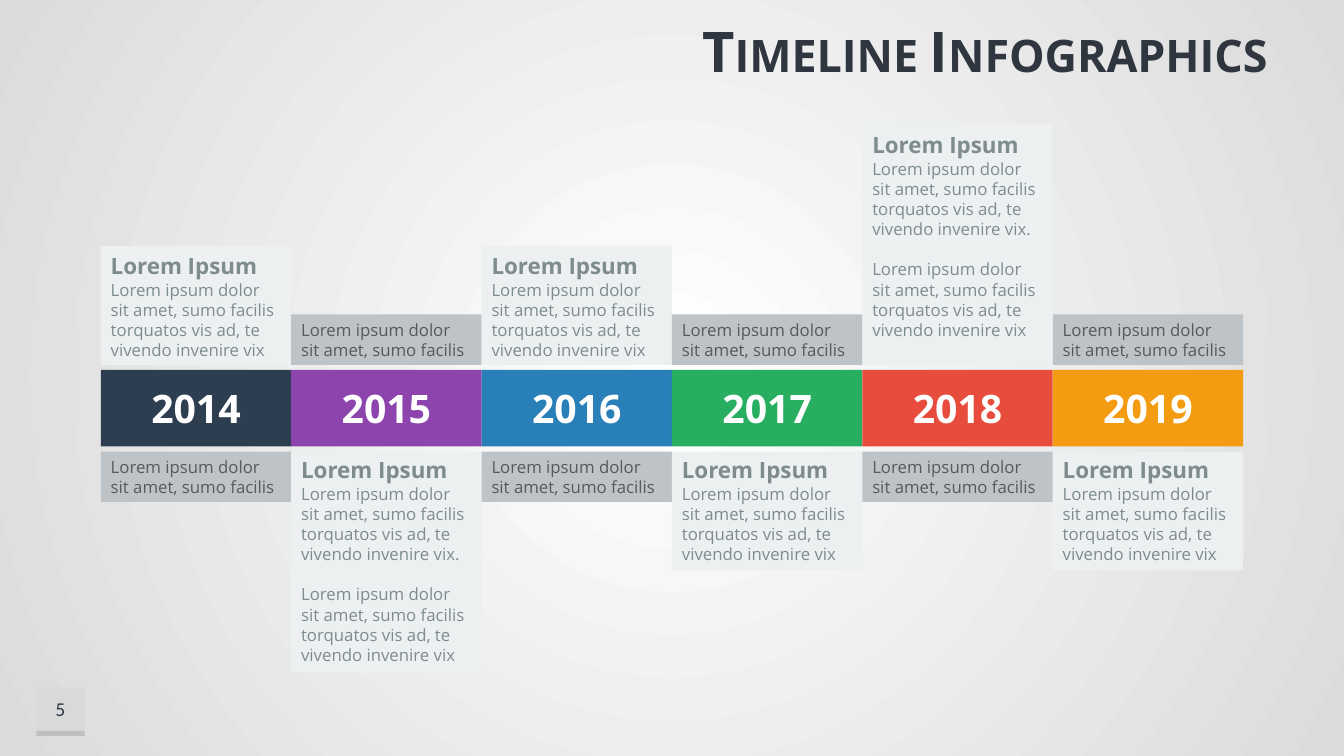
from pptx import Presentation
from pptx.dml.color import RGBColor
from pptx.enum.shapes import MSO_SHAPE
from pptx.enum.text import MSO_ANCHOR, PP_ALIGN
from pptx.oxml.ns import qn
from pptx.util import Inches, Pt
from lxml.etree import SubElement

TITLE = "Timeline Infographics"
NUMBER = "5"
HEAD = "Lorem Ipsum"
NOTE = "Lorem ipsum dolor sit amet, sumo facilis"
BODY = NOTE + " torquatos vis ad, te vivendo invenire vix"
SHORT = [BODY]
LONG = [BODY + ".", BODY]
YEARS = [
    ("2014", "2D3E50", "above", SHORT, 1.18, 0.05),
    ("2015", "8D44AD", "below", LONG, 2.19, 0.05),
    ("2016", "297FB8", "above", SHORT, 1.18, 0.05),
    ("2017", "27AE61", "below", SHORT, 1.18, 0.05),
    ("2018", "E84C3D", "above", LONG, 2.39, 0.25),
    ("2019", "F39C11", "below", SHORT, 1.18, 0.05),
]
WIDTH, HEIGHT = 13.33, 7.5
MARGIN = 1
COL = (WIDTH - 2 * MARGIN) / len(YEARS)
BAR_TOP, BAR_H, GAP, NOTE_H = 3.67, 0.76, 0.05, 0.5
LINE = 14.4

YEAR_FONT = {"size": Pt(28), "bold": True, "name": "Open Sans"}
TITLE_FONT = {"size": Pt(40), "bold": True, "name": "Open Sans"}
HEAD_FONT = {"size": Pt(16), "bold": True, "name": "Open Sans"}
TEXT_FONT = {"size": Pt(12), "bold": False, "name": "Open Sans"}
NUMBER_FONT = {"size": Pt(14), "bold": False, "name": "Calibri"}


def rgb(value):
    return RGBColor.from_string(value)


def box(s, at, fill=None):
    at = [Inches(v) for v in at]
    if fill is None:
        return s.shapes.add_textbox(*at)
    sp = s.shapes.add_shape(MSO_SHAPE.RECTANGLE, *at)
    sp.shadow.inherit = False
    sp.fill.solid()
    sp.fill.fore_color.rgb = rgb(fill)
    sp.line.fill.background()
    return sp


def write(sp, lines, align, anchor, bottom=0.05):
    tf = sp.text_frame
    frame = {"word_wrap": True, "vertical_anchor": anchor, "margin_bottom": Inches(bottom)}
    for key, value in frame.items():
        setattr(tf, key, value)
    for i, (text, font, color, before) in enumerate(lines):
        p = tf.add_paragraph() if i else tf.paragraphs[0]
        p.alignment = align
        p.space_before = Pt(before)
        r = p.add_run()
        r.text = text
        for key, value in font.items():
            setattr(r.font, key, value)
        r.font.color.rgb = rgb(color)
    return tf


def set_background(s):
    fill = s.background.fill
    fill.gradient()
    for stop, color, position in zip(fill.gradient_stops, ("FFFFFF", "DBDBDB"), (0, 1)):
        stop.color.rgb = rgb(color)
        stop.position = position
    grad = s.background._cSld.find(".//" + qn("a:gradFill"))
    grad.remove(grad.find(qn("a:lin")))
    circle = SubElement(grad, qn("a:path"), {"path": "circle"})
    SubElement(circle, qn("a:fillToRect"), {side: "50000" for side in "ltrb"})


def add_year(s, col, year, color, side, texts, card_h, bottom):
    left = MARGIN + col * COL
    bar = box(s, (left, BAR_TOP, COL, BAR_H), color)
    write(bar, [(year, YEAR_FONT, "FFFFFF", 0)], PP_ALIGN.CENTER, MSO_ANCHOR.MIDDLE)
    card = [(HEAD, HEAD_FONT, "7E8C8D", 0)]
    card += [(text, TEXT_FONT, "7E8C8D", LINE * (i > 0)) for i, text in enumerate(texts)]
    note = [(NOTE, TEXT_FONT, "595959", 0)]
    other = "below" if side == "above" else "above"
    for place, lines, h, fill, inset in (
        (side, card, card_h, "ECF0F1", bottom),
        (other, note, NOTE_H, "BEC3C7", 0.05),
    ):
        above = place == "above"
        top = BAR_TOP - GAP - h if above else BAR_TOP + BAR_H + GAP
        anchor = MSO_ANCHOR.BOTTOM if above else MSO_ANCHOR.TOP
        write(box(s, (left, top, COL, h), fill), lines, PP_ALIGN.LEFT, anchor, inset)


def main():
    prs = Presentation()
    prs.slide_width, prs.slide_height = Inches(WIDTH), Inches(HEIGHT)
    s = prs.slides.add_slide(prs.slide_layouts[6])
    set_background(s)
    box(s, (0.36, 6.82, 0.48, 0.48), "D9D9D9")
    box(s, (0.36, 7.25, 0.48, 0.05), "BFBFBF")
    number = box(s, (0.36, 6.82, 0.48, 0.43))
    write(number, [(NUMBER, NUMBER_FONT, "2F3A46", 0)], PP_ALIGN.CENTER, MSO_ANCHOR.MIDDLE)
    title = box(s, (1.95, 0.16, 10.72, 0.68))
    tf = write(title, [(TITLE, TITLE_FONT, "2F3640", 0)], PP_ALIGN.RIGHT, MSO_ANCHOR.MIDDLE)
    tf.paragraphs[0].runs[0].font._rPr.set("cap", "small")
    for col, year in enumerate(YEARS):
        add_year(s, col, *year)
    prs.save("out.pptx")


if __name__ == "__main__":
    main()
